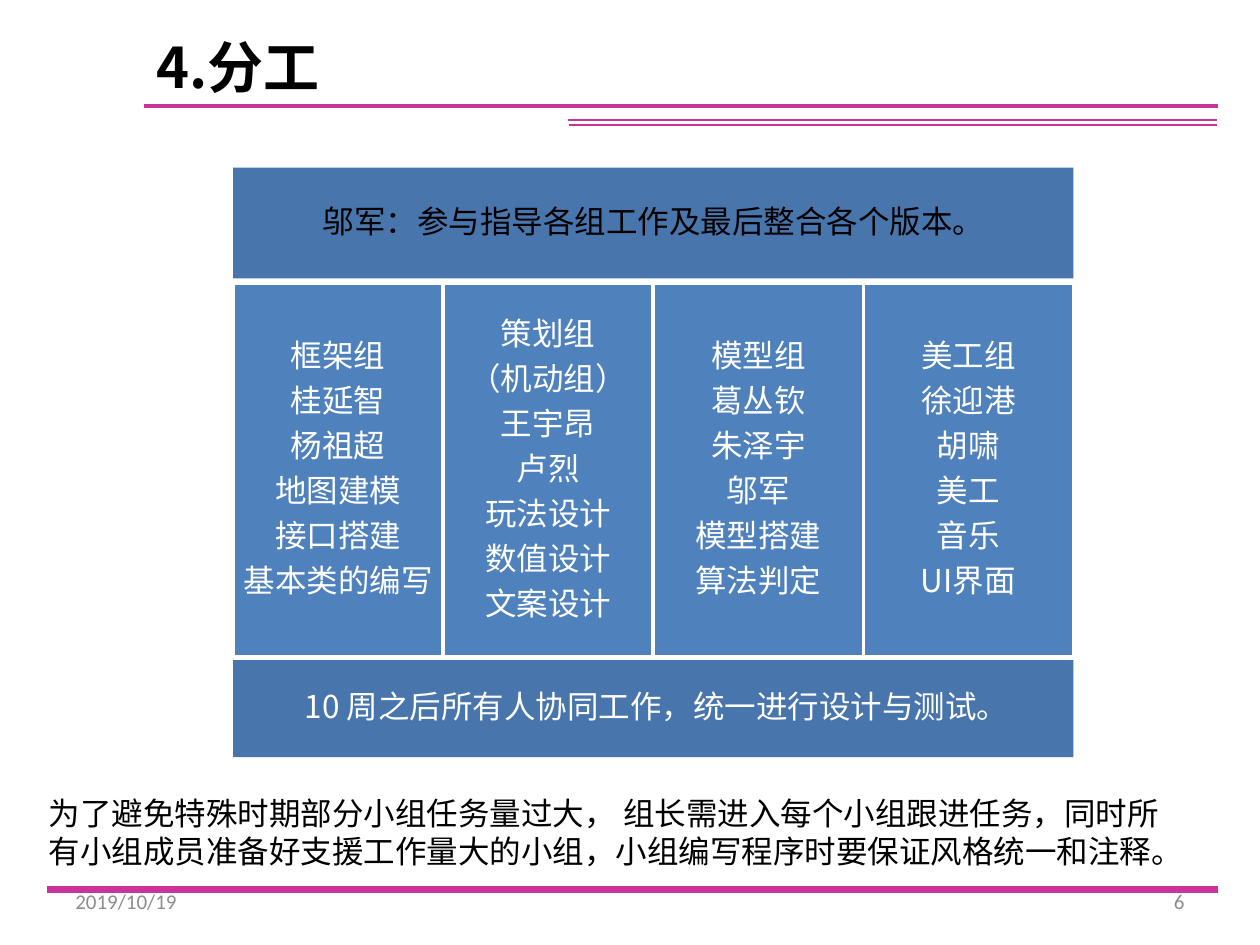
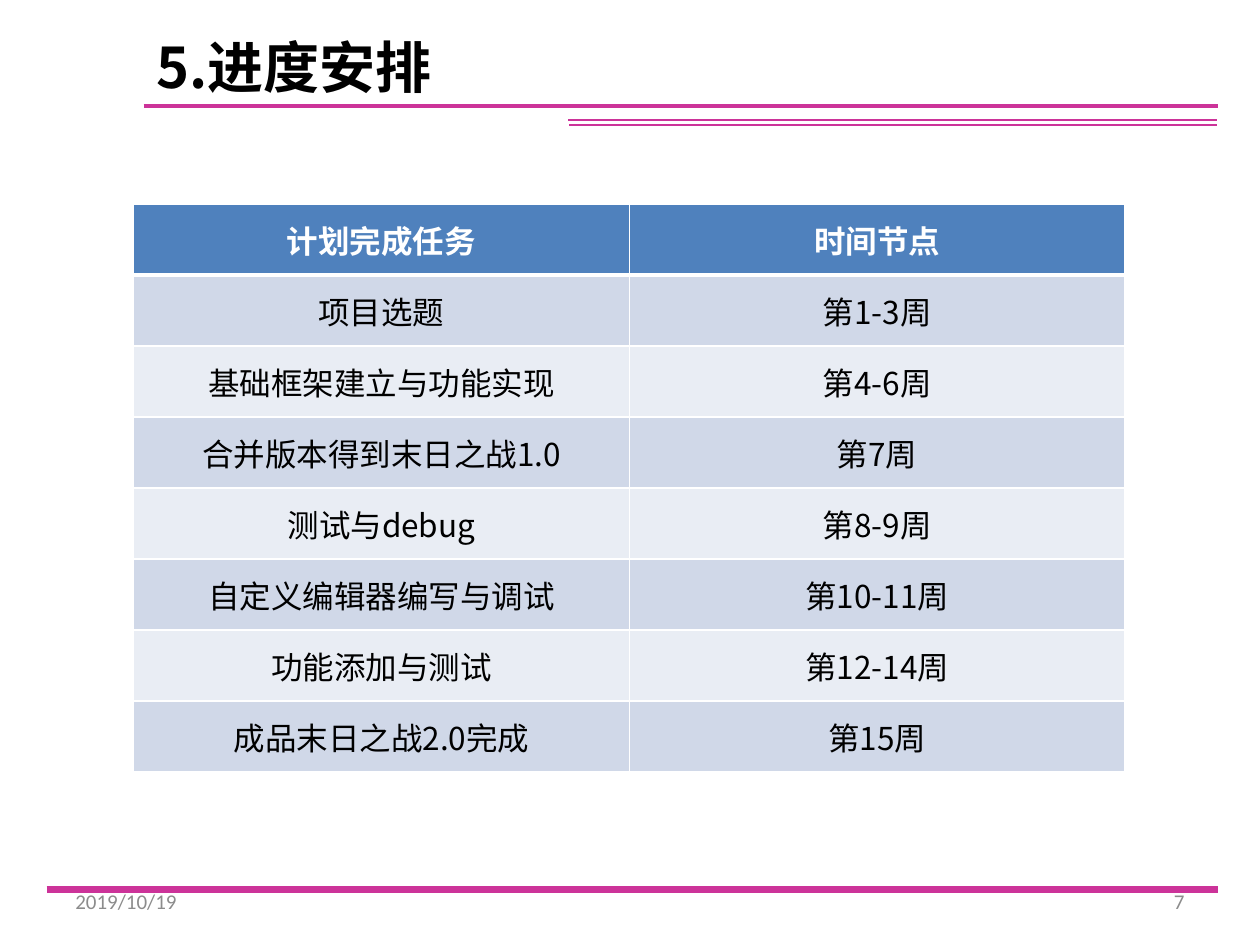
from dataclasses import dataclass
from lxml.etree import SubElement
from pptx import Presentation
from pptx.dml.color import RGBColor as RGB
from pptx.enum.shapes import MSO_CONNECTOR as Link, MSO_SHAPE as Form
from pptx.enum.text import MSO_ANCHOR as Anchor, PP_ALIGN as Align
from pptx.oxml.ns import qn
from pptx.util import Inches, Pt


@dataclass(frozen=True)
class Theme:
    sans: str = "Noto Sans CJK SC"
    foot: str = "Calibri"
    rule: str = "CC3399"
    band: str = "4875AC"
    card: str = "4F81BD"
    odd: str = "D0D8E8"
    even: str = "E9EDF4"
    ink: str = "000000"
    white: str = "FFFFFF"
    grey: str = "8C8C8C"
    head: int = 32
    body: int = 18
    small: int = 12


THEME = Theme()
COLS, ROWS = 100, 75
UNIT = Inches(10) / COLS
LEFT, SPAN = 18.5, 66.7
RULES = [
    (3.7, 96.7, 70.6, 3.75),
    (11.4, 96.7, 8.4, 2),
    (45.1, 96.6, 9.5, 1),
    (45.2, 96.6, 9.9, 1),
]
TEAMS = [
    ["框架组", "桂延智", "杨祖超", "地图建模", "接口搭建", "基本类的编写"],
    ["策划组", "（机动组）", "王宇昂", "卢烈", "玩法设计", "数值设计", "文案设计"],
    ["模型组", "葛丛钦", "朱泽宇", "邬军", "模型搭建", "算法判定"],
    ["美工组", "徐迎港", "胡啸", "美工", "音乐", "UI界面"],
]
PLAN = [
    ("计划完成任务", "时间节点"),
    ("项目选题", "第1-3周"),
    ("基础框架建立与功能实现", "第4-6周"),
    ("合并版本得到末日之战1.0", "第7周"),
    ("测试与debug", "第8-9周"),
    ("自定义编辑器编写与调试", "第10-11周"),
    ("功能添加与测试", "第12-14周"),
    ("成品末日之战2.0完成", "第15周"),
]
TASK = "为了避免特殊时期部分小组任务量过大， 组长需进入每个小组跟进任务，同时所有小组成员准备好支援工作量大的小组，小组编写程序时要保证风格统一和注释。"


def grid(*cells):
    return [round(n * UNIT) for n in cells]


def apply(item, **looks):
    for name, value in looks.items():
        setattr(item, name, value)


def write(frame, lines, color, size=THEME.body, face=THEME.sans, bold=False, **looks):
    for i, line in enumerate(lines):
        para = frame.paragraphs[0] if i == 0 else frame.add_paragraph()
        apply(para, **looks)
        run = para.add_run()
        run.text = line
        apply(run.font, name=face, size=Pt(size), bold=bold)
        run.font.color.rgb = RGB.from_string(color)
        SubElement(run.font._element, qn("a:ea"), typeface=face)


def label(slide, box, text, color=THEME.ink, anchor=Anchor.TOP, wrap=True, **looks):
    frame = slide.shapes.add_textbox(*grid(*box)).text_frame
    apply(frame, word_wrap=wrap, vertical_anchor=anchor)
    write(frame, [text], color, **looks)


def block(slide, box, fill, lines=(), color=THEME.white, edge=0):
    shape = slide.shapes.add_shape(Form.RECTANGLE, *grid(*box))
    shape.shadow.inherit = False
    shape.fill.solid()
    shape.fill.fore_color.rgb = RGB.from_string(fill)
    if edge:
        shape.line.color.rgb = RGB.from_string(THEME.white)
        shape.line.width = Pt(edge)
    else:
        shape.line.fill.background()
    frame = shape.text_frame
    apply(frame, word_wrap=True, vertical_anchor=Anchor.MIDDLE)
    for side in ("left", "right", "top", "bottom"):
        setattr(frame, f"margin_{side}", Inches(0.07))
    write(frame, lines, color, alignment=Align.CENTER, line_spacing=0.9,
          space_after=Pt(THEME.body * 0.35))


def rule(slide, start, end, row, width):
    line = slide.shapes.add_connector(Link.STRAIGHT, *grid(start, row, end, row))
    line.line.color.rgb = RGB.from_string(THEME.rule)
    line.line.width = Pt(width)
    SubElement(line._element.spPr, qn("a:effectLst"))


def page(deck, title, number):
    slide = deck.slides.add_slide(deck.slide_layouts[6])
    for spot in RULES:
        rule(slide, *spot)
    for col, text, side in ((5, "2019/10/19", Align.LEFT),
                            (71.7, str(number), Align.RIGHT)):
        label(slide, (col, 69.5, 23.3, 4), text, THEME.grey, Anchor.MIDDLE,
              size=THEME.small, face=THEME.foot, alignment=side)
    label(slide, (11.4, 2.1, 56.7, 6.4), title, size=THEME.head, bold=True)
    return slide


def border(cell, base):
    props = cell._tc.get_or_add_tcPr()
    for side, width in (("L", 1), ("R", 1), ("T", 1), ("B", base)):
        line = SubElement(props, qn(f"a:ln{side}"), w=str(Pt(width)))
        fill = SubElement(line, qn("a:solidFill"))
        SubElement(fill, qn("a:srgbClr"), val=THEME.white)


def chart(slide, box, data):
    table = slide.shapes.add_table(len(data), len(data[0]), *grid(*box)).table
    for r, row in enumerate(data):
        top = r == 0
        fill = THEME.card if top else THEME.odd if r % 2 else THEME.even
        for c, text in enumerate(row):
            cell = table.cell(r, c)
            border(cell, 3 if top else 1)
            cell.fill.solid()
            cell.fill.fore_color.rgb = RGB.from_string(fill)
            cell.vertical_anchor = Anchor.MIDDLE
            write(cell.text_frame, [text], THEME.white if top else THEME.ink,
                  bold=top, alignment=Align.CENTER)


def teams(deck):
    slide = page(deck, "4.分工", 6)
    block(slide, (LEFT, 13.3, SPAN, 8.8), THEME.band,
          ["邬军：参与指导各组工作及最后整合各个版本。"], THEME.ink)
    wide = SPAN / len(TEAMS)
    for i, team in enumerate(TEAMS):
        block(slide, (LEFT + i * wide, 22.5, wide, 29.6), THEME.card, team, edge=2)
    block(slide, (LEFT, 52.4, SPAN, 7.7), THEME.band)
    label(slide, (23.2, 54, 58.8, 4), "10 周之后所有人协同工作，统一进行设计与测试。",
          THEME.white, wrap=False)
    label(slide, (2.9, 62.5, 92.1, 7.1), TASK)


def plan(deck):
    slide = page(deck, "5.进度安排", 7)
    chart(slide, (10.6, 16.2, 78.7, 45.1), PLAN)


def main():
    deck = Presentation()
    wide, high = grid(COLS, ROWS)
    apply(deck, slide_width=wide, slide_height=high)
    teams(deck)
    plan(deck)
    deck.save("out.pptx")


if __name__ == "__main__":
    main()
